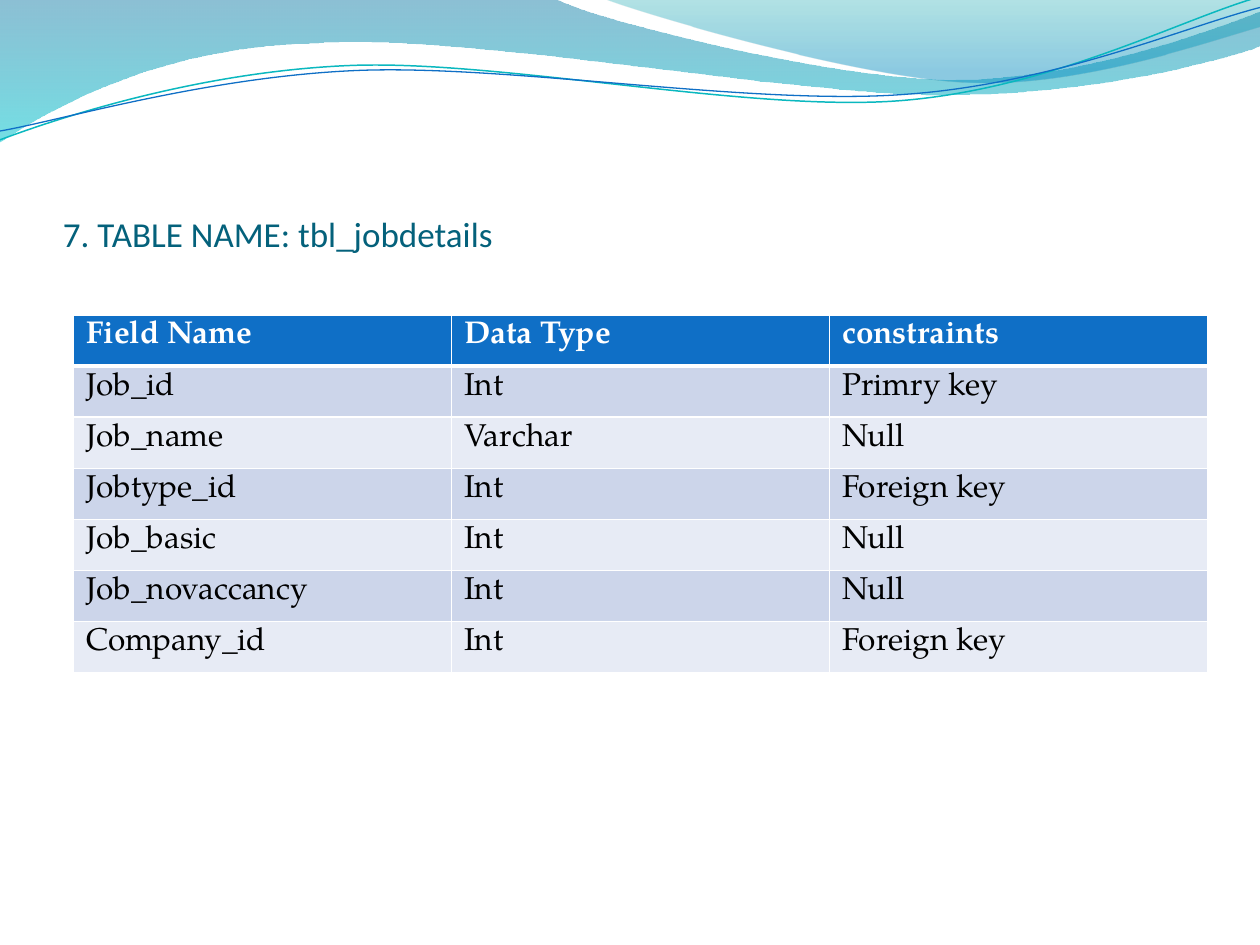
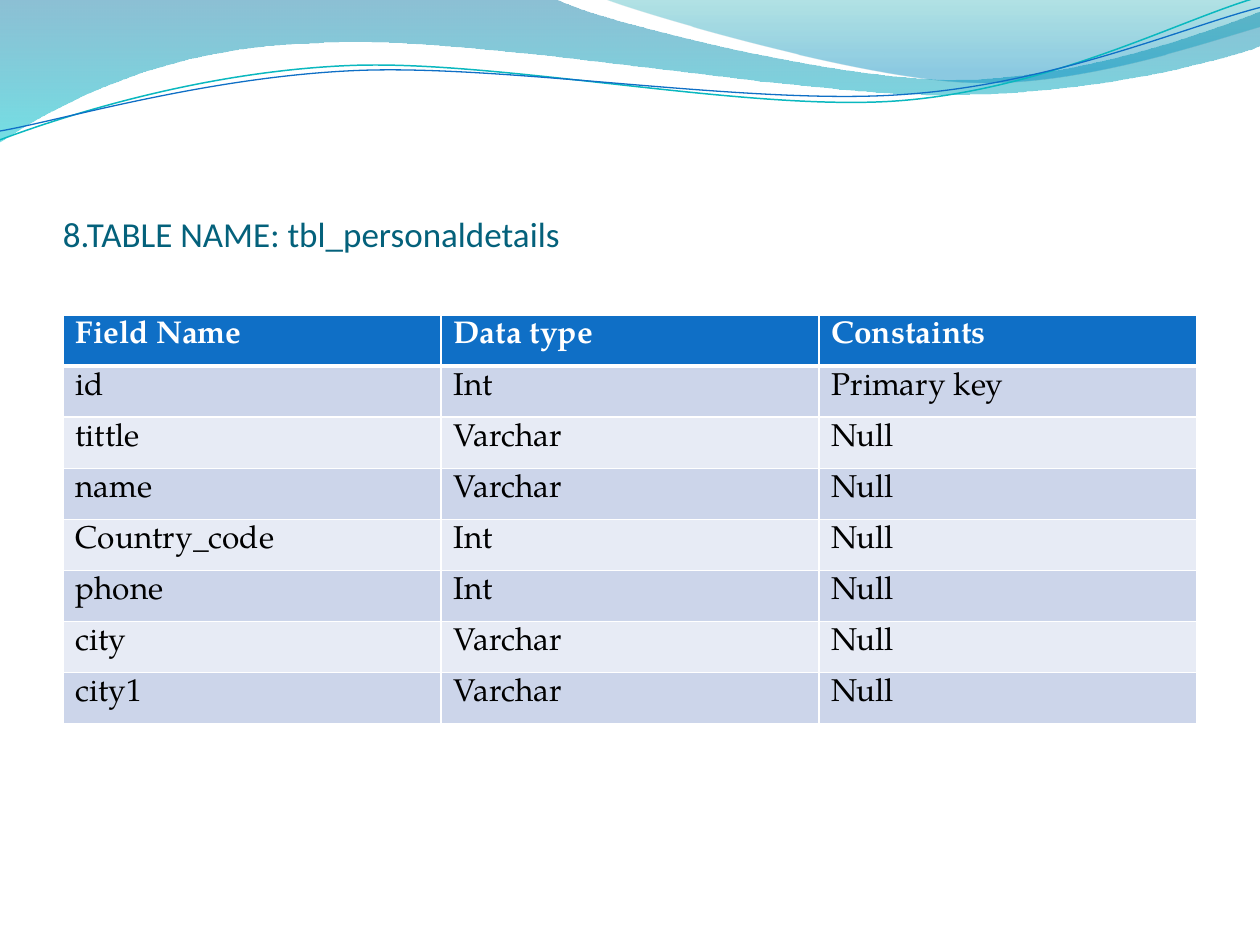
"""Build two slides that each describe a database table under a wave header."""
import math
from lxml import etree
from pptx import Presentation
from pptx import util as u
from pptx.dml.color import RGBColor
from pptx.enum import text
from pptx.oxml.ns import qn

BLUE, WHITE, BLACK = "0F6FC6", "FFFFFF", "000000"
STRIPES = ["E7EBF5", "CCD5EA"]
TITLE_COLOR, TITLE_FONT, TABLE_FONT = "04617B", "Calibri", "TeX Gyre Pagella"
ROW_HEIGHT = 29.2 / 72
TILT = 2.7

BANDS = [
    ([[(0, 0)], [(4.4, -0.01)],
      [(4.76, 0.17), (6.64, 0.63), (7.58, 0.63)],
      [(8.53, 0.63), (9.58, 0.26), (10, 0.09)], [(10.01, 0.36)],
      [(9.83, 0.44), (8.7, 0.76), (7.46, 0.75)],
      [(6.22, 0.75), (3.82, 0.28), (2.57, 0.34)],
      [(1.29, 0.36), (0.46, 0.83), (-0.01, 1.13)], [(0, 0)]],
     [(0, "0074A1", 45), (100, "00C6CF", 55)]),
    ([[(4.79, -0.01)],
      [(5.09, 0.11), (6.82, 0.62), (7.69, 0.65)],
      [(8.56, 0.69), (9.61, 0.32), (10, 0.21)], [(10, 0)], [(4.79, -0.01)]],
     [(0, "00A1A9", 30), (80, "008BBF", 45)]),
]
WAVES = [
    ([[(0, 1.11)],
      [(0.48, 0.93), (1.58, 0.57), (2.77, 0.52)],
      [(3.95, 0.47), (5.93, 0.89), (7.13, 0.8)],
      [(8.33, 0.71), (9.38, 0.15), (9.98, -0.02)]], (4.99, 0.575), "0AB8BF", 0.85),
    ([[(0, 1.04)],
      [(0.47, 0.96), (1.64, 0.61), (2.83, 0.56)],
      [(4.03, 0.51), (5.97, 0.84), (7.17, 0.75)],
      [(8.36, 0.67), (9.41, 0.21), (10, 0.06)]], (5, 0.59), BLUE, 0.75),
]
SLIDES = [
    ("7. TABLE NAME: tbl_jobdetails", 7 / 12, [
        ("Field Name", "Data Type", "constraints"),
        ("Job_id", "Int", "Primry key"),
        ("Job_name ", "Varchar", "Null"),
        ("Jobtype_id", "Int", "Foreign key"),
        ("Job_basic", "Int", "Null"),
        ("Job_novaccancy", "Int", "Null"),
        ("Company_id", "Int", "Foreign key")]),
    ("8.TABLE NAME: tbl_personaldetails", 0.5, [
        ("Field Name", "Data type", "Constaints"),
        ("id", "Int", "Primary key"),
        ("tittle", "Varchar", "Null"),
        ("name", "Varchar", "Null"),
        ("Country_code", "Int", "Null"),
        ("phone", "Int", "Null"),
        ("city", "Varchar", "Null"),
        ("city1", "Varchar", "Null")]),
]


def rgb(color):
    return RGBColor.from_string(color)


def draw_curve(s, segments, close):
    emu = [(u.Inches(x), u.Inches(y)) for seg in segments for x, y in seg]
    builder = s.shapes.build_freeform(*emu[0])
    builder.add_line_segments(emu[1:], close=close)
    sp = builder.convert_to_shape()
    sp.shadow.inherit = False
    lines = iter(list(sp._element.iter(qn("a:lnTo"))))
    for seg in segments[1:]:
        group = [next(lines) for point in seg]
        if len(group) == 3:
            curve = etree.Element(qn("a:cubicBezTo"))
            group[0].addprevious(curve)
            for line in group:
                curve.append(line[0])
                line.getparent().remove(line)
    return sp


prs = Presentation()
prs.slide_width, prs.slide_height = u.Inches(10), u.Inches(7.5)
cos, sin = math.cos(math.radians(TILT)), math.sin(math.radians(TILT))

for title, left, rows in SLIDES:
    s = prs.slides.add_slide(prs.slide_layouts[6])
    s.background.fill.solid()
    s.background.fill.fore_color.rgb = rgb(WHITE)

    for segments, stops in BANDS:
        sp = draw_curve(s, segments, True)
        sp.line.fill.background()
        sp.fill.gradient()
        sp.fill.gradient_angle = 270
        for stop, (pos, color, opacity) in zip(sp.fill.gradient_stops, stops):
            stop.color.rgb = rgb(color)
            stop.position = pos / 100
        for clr, (pos, color, opacity) in zip(sp._element.spPr.iter(qn("a:srgbClr")), stops):
            etree.SubElement(clr, qn("a:alpha"), val=str(opacity * 1000))

    for segments, (cx, cy), color, width in WAVES:
        level = [[(cx + (x - cx) * cos - (y - cy) * sin, cy + (x - cx) * sin + (y - cy) * cos)
                  for x, y in seg] for seg in segments]
        sp = draw_curve(s, level, False)
        sp.rotation = 360 - TILT
        sp.fill.background()
        sp.line.color.rgb = rgb(color)
        sp.line.width = u.Pt(width)

    sp = s.shapes.add_textbox(u.Inches(0.5), u.Inches(0.77), u.Inches(9), u.Inches(1.25))
    tf = sp.text_frame
    tf.word_wrap = True
    tf.vertical_anchor = text.MSO_ANCHOR.BOTTOM
    tf.margin_left = tf.margin_right = tf.margin_bottom = 0
    r = tf.paragraphs[0].add_run()
    r.text = title
    r.font.size, r.font.name = u.Pt(20), TITLE_FONT
    r.font.color.rgb = rgb(TITLE_COLOR)

    height = u.Inches(ROW_HEIGHT * len(rows))
    tbl = s.shapes.add_table(len(rows), 3, u.Inches(left), u.Inches(2.5), u.Inches(9), height).table
    for i, row in enumerate(rows):
        for j, value in enumerate(row):
            cell = tbl.cell(i, j)
            cell.fill.solid()
            cell.fill.fore_color.rgb = rgb(STRIPES[i % 2] if i else BLUE)
            r = cell.text_frame.paragraphs[0].add_run()
            r.text = value
            r.font.size, r.font.name, r.font.bold = u.Pt(18), TABLE_FONT, i == 0
            r.font.color.rgb = rgb(BLACK if i else WHITE)
            widths = {"L": 1, "R": 1, "T": 3 if i == 1 else 1, "B": 1 if i else 3}
            for k, (side, width) in enumerate(widths.items()):
                ln = etree.Element(qn("a:ln" + side), w=str(u.Pt(width)))
                fill = etree.SubElement(ln, qn("a:solidFill"))
                etree.SubElement(fill, qn("a:srgbClr"), val=WHITE)
                cell._tc.tcPr.insert(k, ln)

prs.save("out.pptx")
